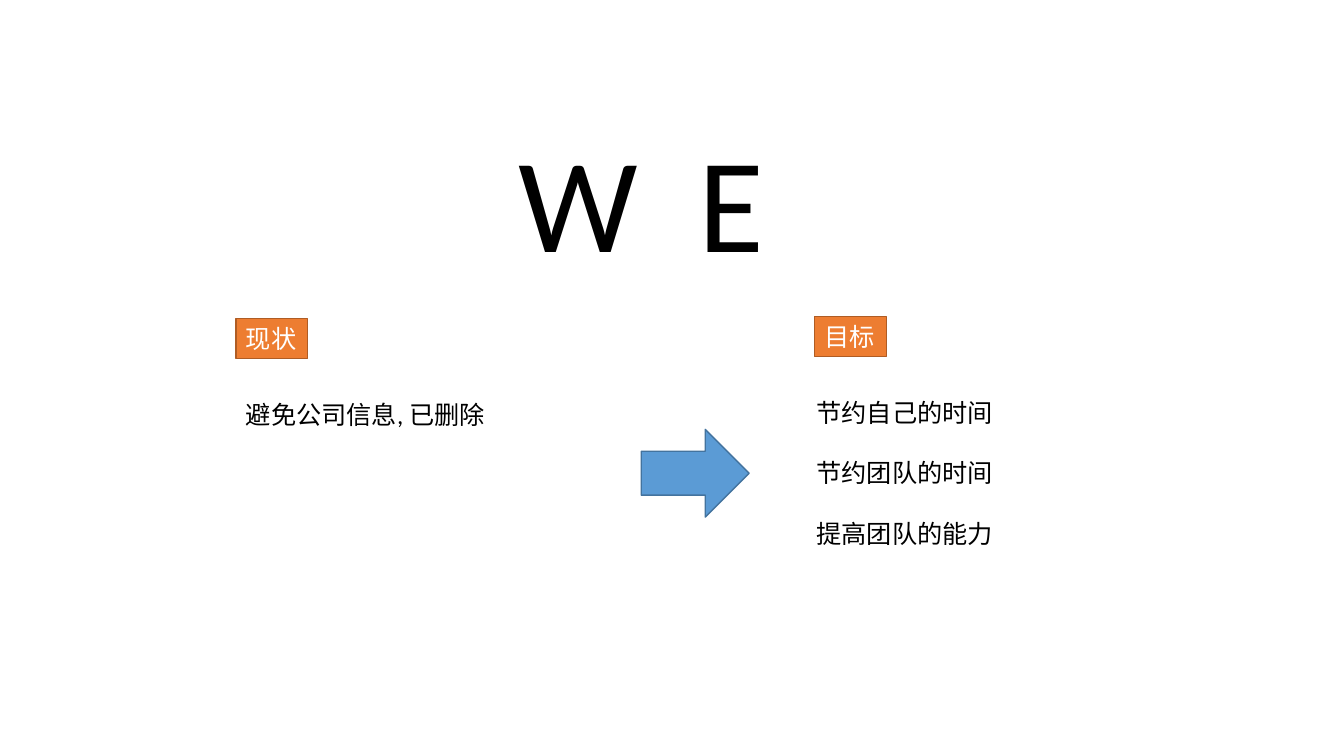
from dataclasses import dataclass

from pptx import Presentation
from pptx.dml.color import RGBColor
from pptx.enum.shapes import MSO_SHAPE
from pptx.enum.text import MSO_ANCHOR, PP_ALIGN
from pptx.shapes.autoshape import Shape
from pptx.slide import Slide
from pptx.util import Inches, Pt

COLORS = {
    "text": "000000",
    "label_text": "FFFFFF",
    "label": "ED7D31",
    "label_line": "AF5C24",
    "arrow": "5B9BD5",
    "arrow_line": "43739E",
}
FONT = "Calibri"
BODY_SIZE = 18
LABEL_SIZE = (0.71, 0.4)


@dataclass(frozen=True)
class Box:
    left: float
    top: float
    width: float
    height: float

    def lengths(self) -> tuple[Inches, Inches, Inches, Inches]:
        return (Inches(self.left), Inches(self.top),
                Inches(self.width), Inches(self.height))


@dataclass(frozen=True)
class Column:
    label: str
    label_box: Box
    lines: tuple[str, ...]
    text_box: Box


COLUMNS = (
    Column("现状", Box(2.34, 3.16, *LABEL_SIZE),
           ("避免公司信息, 已删除",), Box(2.34, 3.91, 2.59, 0.4)),
    Column("目标", Box(8.08, 3.14, *LABEL_SIZE),
           ("节约自己的时间", "节约团队的时间", "提高团队的能力"),
           Box(8, 3.89, 1.97, 1.62)),
)


def color(name: str) -> RGBColor:
    return RGBColor.from_string(COLORS[name])


def write_lines(shape: Shape, lines: tuple[str, ...], color_name: str,
                size: float = BODY_SIZE, align: PP_ALIGN = PP_ALIGN.LEFT) -> None:
    """Write one paragraph per line, with a blank line's height between them."""
    frame = shape.text_frame
    frame.text = "\n".join(lines)
    for index, paragraph in enumerate(frame.paragraphs):
        paragraph.alignment = align
        paragraph.space_before = Pt(21.6 if index else 0)
        paragraph.font.name = FONT
        paragraph.font.size = Pt(size)
        paragraph.font.color.rgb = color(color_name)


def add_text(slide: Slide, box: Box, lines: tuple[str, ...],
             size: float = BODY_SIZE, align: PP_ALIGN = PP_ALIGN.LEFT) -> Shape:
    shape = slide.shapes.add_textbox(*box.lengths())
    shape.text_frame.word_wrap = True
    write_lines(shape, lines, "text", size, align)
    return shape


def add_filled_shape(slide: Slide, kind: MSO_SHAPE, box: Box, fill: str) -> Shape:
    shape = slide.shapes.add_shape(kind, *box.lengths())
    shape.shadow.inherit = False
    shape.fill.solid()
    shape.fill.fore_color.rgb = color(fill)
    shape.line.color.rgb = color(f"{fill}_line")
    shape.line.width = Pt(1)
    return shape


def add_column(slide: Slide, column: Column) -> None:
    add_text(slide, column.text_box, column.lines)
    label = add_filled_shape(slide, MSO_SHAPE.RECTANGLE, column.label_box, "label")
    label.text_frame.word_wrap = False
    write_lines(label, (column.label,), "label_text")


def main() -> None:
    presentation = Presentation()
    presentation.slide_width = Inches(13.33)
    presentation.slide_height = Inches(7.5)
    slide = presentation.slides.add_slide(presentation.slide_layouts[6])

    title = add_text(slide, Box(0.61, 1.35, 11.5, 1.45), ("W  E",), 96, PP_ALIGN.CENTER)
    title.text_frame.vertical_anchor = MSO_ANCHOR.MIDDLE
    title.text_frame.paragraphs[0].line_spacing = 0.9

    for column in COLUMNS:
        add_column(slide, column)
    add_filled_shape(slide, MSO_SHAPE.RIGHT_ARROW, Box(6.36, 4.26, 1.07, 0.87), "arrow")

    presentation.save("out.pptx")


if __name__ == "__main__":
    main()
